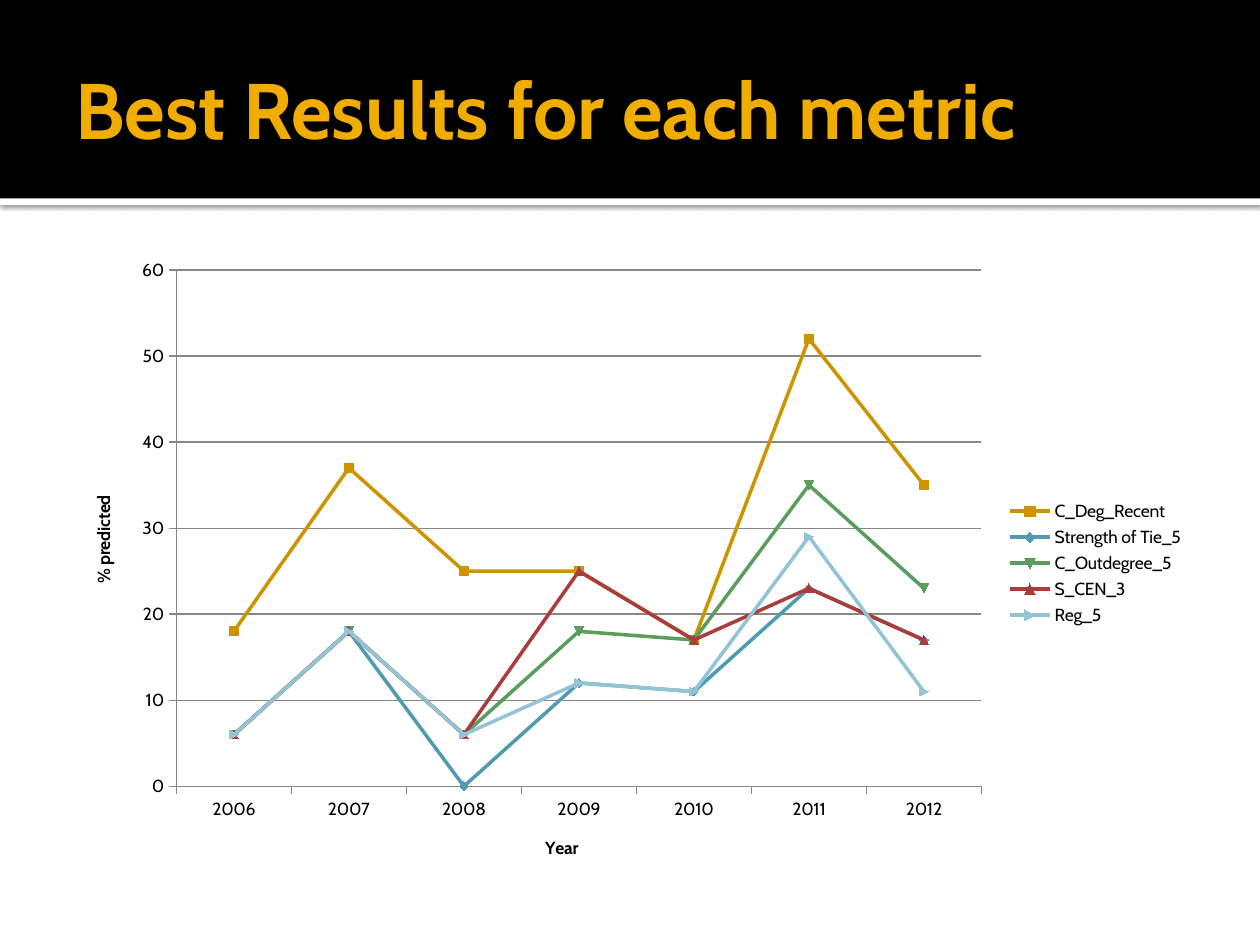
import pptx
import pptx.chart.data
import pptx.dml.color
import pptx.enum.chart
import pptx.enum.shapes
import pptx.enum.text
import pptx.oxml
import pptx.oxml.ns
import pptx.util

Cm = pptx.util.Cm
Pt = pptx.util.Pt
RGB = pptx.dml.color.RGBColor
ENUM = pptx.enum.chart

# Content
TITLE = "Best Results for each metric"
YEARS = ["2006", "2007", "2008", "2009", "2010", "2011", "2012"]
AXES = {"x": "Year", "y": "% predicted"}
FONT = "Cabin"
BLACK = RGB(0, 0, 0)
WHITE = RGB(0xFF, 0xFF, 0xFF)
GOLD = RGB(0xF0, 0xAD, 0x00)
GRAY = RGB(0x87, 0x87, 0x87)
SERIES = [
    ("C_Deg_Recent", [18, 37, 25, 25, 17, 52, 35], RGB(0xCD, 0x94, 0x00)),
    ("Strength of Tie_5", [6, 18, 0, 12, 11, 23, 17], RGB(0x51, 0x9B, 0xAF)),
    ("C_Outdegree_5", [6, 18, 6, 18, 17, 35, 23], RGB(0x5B, 0x9D, 0x5D)),
    ("S_CEN_3", [6, 18, 6, 25, 17, 23, 17], RGB(0xAA, 0x3C, 0x3B)),
    ("Reg_5", [6, 18, 6, 12, 11, 29, 11], RGB(0x92, 0xC4, 0xD5)),
]
PLOT = {"x": 0.1, "y": 0.04, "w": 0.71, "h": 0.81}  # shares of the chart

WIDE, HIGH = Cm(25.4), Cm(19.05)
BAND = Cm(4)
EDGE = Cm(1.27)


def write(frame, text, size=10, color=BLACK, bold=False):
    part = frame.paragraphs[0].add_run()
    part.text = text
    font = part.font
    font.name, font.size, font.bold = FONT, Pt(size), bold
    font.color.rgb = color


def bar(slide, top, high, color):
    shape = slide.shapes.add_shape(
        pptx.enum.shapes.MSO_SHAPE.RECTANGLE, 0, top, WIDE, high)
    shape.shadow.inherit = False
    shape.fill.solid()
    shape.fill.fore_color.rgb = color
    shape.line.fill.background()
    return shape


def shade(shape):
    ns = pptx.oxml.ns.nsdecls("a")
    glow = pptx.oxml.parse_xml(
        f'<a:outerShdw {ns} blurRad="{Pt(2.5)}" dist="{Pt(0.8)}" '
        'dir="5400000" algn="tl" rotWithShape="0"><a:srgbClr val="000000">'
        '<a:alpha val="60000"/></a:srgbClr></a:outerShdw>')
    shape._element.spPr.find(pptx.oxml.ns.qn("a:effectLst")).append(glow)


def place(chart):
    # Fix the inner plot area
    area = chart._chartSpace.chart.plotArea
    for old in area.findall(pptx.oxml.ns.qn("c:layout")):
        area.remove(old)
    rows = "".join(f'<c:{key}Mode val="edge"/>' for key in "xy")
    rows += "".join(f'<c:{key} val="{val}"/>' for key, val in PLOT.items())
    area.insert(0, pptx.oxml.parse_xml(
        f'<c:layout {pptx.oxml.ns.nsdecls("c")}><c:manualLayout>'
        f'<c:layoutTarget val="inner"/>{rows}</c:manualLayout></c:layout>'))


def draw(slide):
    data = pptx.chart.data.CategoryChartData()
    data.categories = YEARS
    for name, vals, _ in SERIES:
        data.add_series(name, vals)
    chart = slide.shapes.add_chart(
        ENUM.XL_CHART_TYPE.LINE_MARKERS, EDGE, Cm(4.93),
        WIDE - 2 * EDGE, Cm(12.85), data).chart
    chart.has_title = False
    chart.font.name, chart.font.size = FONT, Pt(10)
    chart.font.color.rgb = BLACK
    chart.plots[0].vary_by_categories = False

    # Lines and markers
    for line, (_, _, color) in zip(chart.plots[0].series, SERIES):
        line.smooth = False
        line.format.line.width = Pt(2)
        line.format.line.color.rgb = color
        look = line.marker.format
        look.fill.solid()
        look.fill.fore_color.rgb = color
        look.line.color.rgb = color

    # Axes
    for axis, key in ((chart.category_axis, "x"), (chart.value_axis, "y")):
        write(axis.axis_title.text_frame, AXES[key], bold=True)
        axis.major_tick_mark = ENUM.XL_TICK_MARK.OUTSIDE
        axis.minor_tick_mark = ENUM.XL_TICK_MARK.NONE
        axis.format.line.color.rgb = GRAY
    axis = chart.value_axis
    axis.minimum_scale, axis.maximum_scale, axis.major_unit = 0, 60, 10
    axis.has_major_gridlines = True
    axis.major_gridlines.format.line.color.rgb = GRAY

    chart.has_legend = True
    chart.legend.position = ENUM.XL_LEGEND_POSITION.RIGHT
    chart.legend.include_in_layout = False
    place(chart)


def main():
    deck = pptx.Presentation()
    deck.slide_width, deck.slide_height = WIDE, HIGH
    slide = deck.slides.add_slide(deck.slide_layouts[6])

    # Header band
    shade(bar(slide, BAND, Cm(0.13), WHITE))
    bar(slide, 0, BAND, BLACK)

    # Title
    box = slide.shapes.add_textbox(EDGE, Cm(0.43), WIDE - 2 * EDGE, Cm(3.48))
    frame = box.text_frame
    frame.word_wrap = True
    frame.vertical_anchor = pptx.enum.text.MSO_ANCHOR.MIDDLE
    frame.margin_left = Cm(0.25)
    frame.margin_right = frame.margin_top = frame.margin_bottom = Cm(0.13)
    write(frame, TITLE, size=45, color=GOLD, bold=True)

    draw(slide)
    deck.save("out.pptx")


if __name__ == "__main__":
    main()
